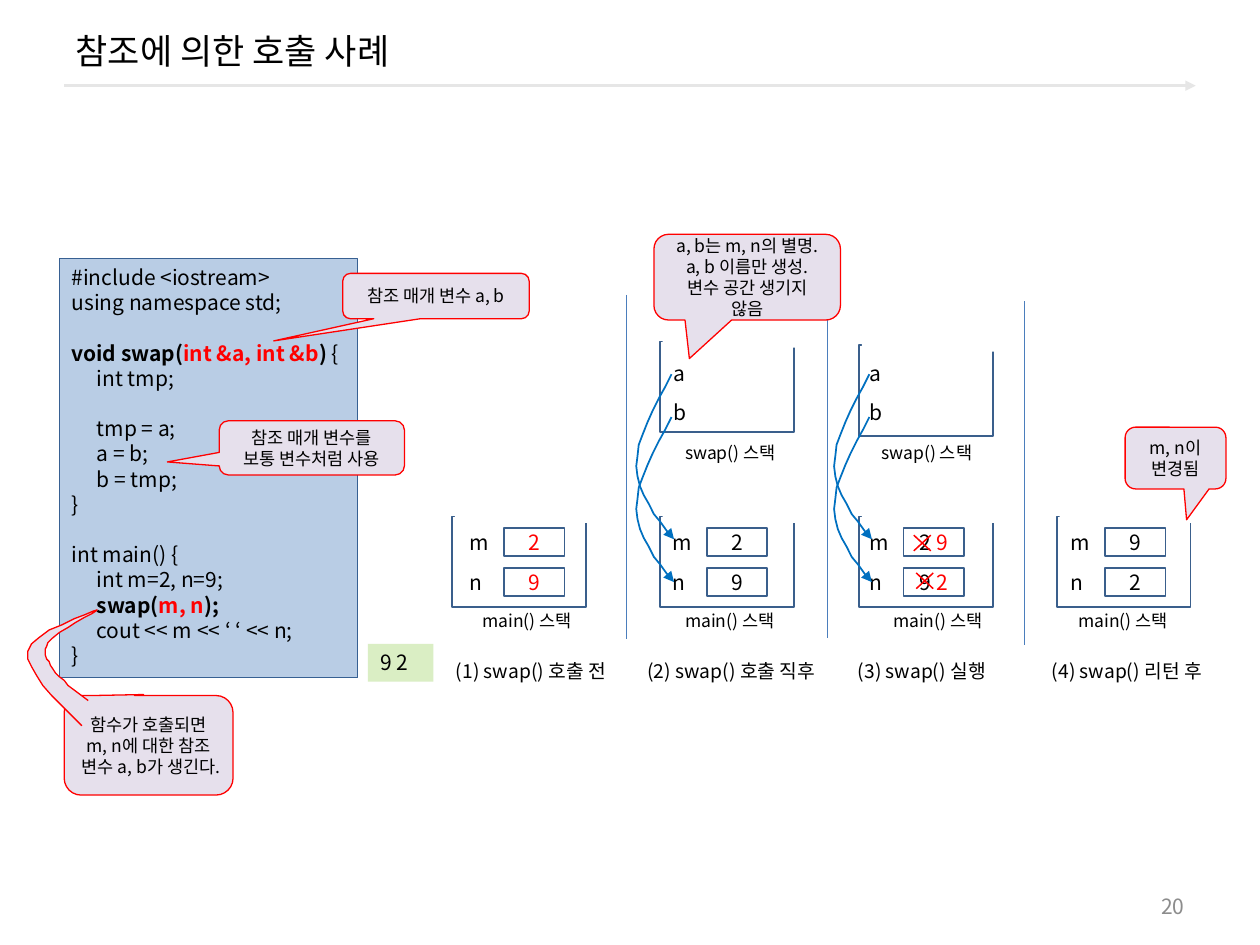
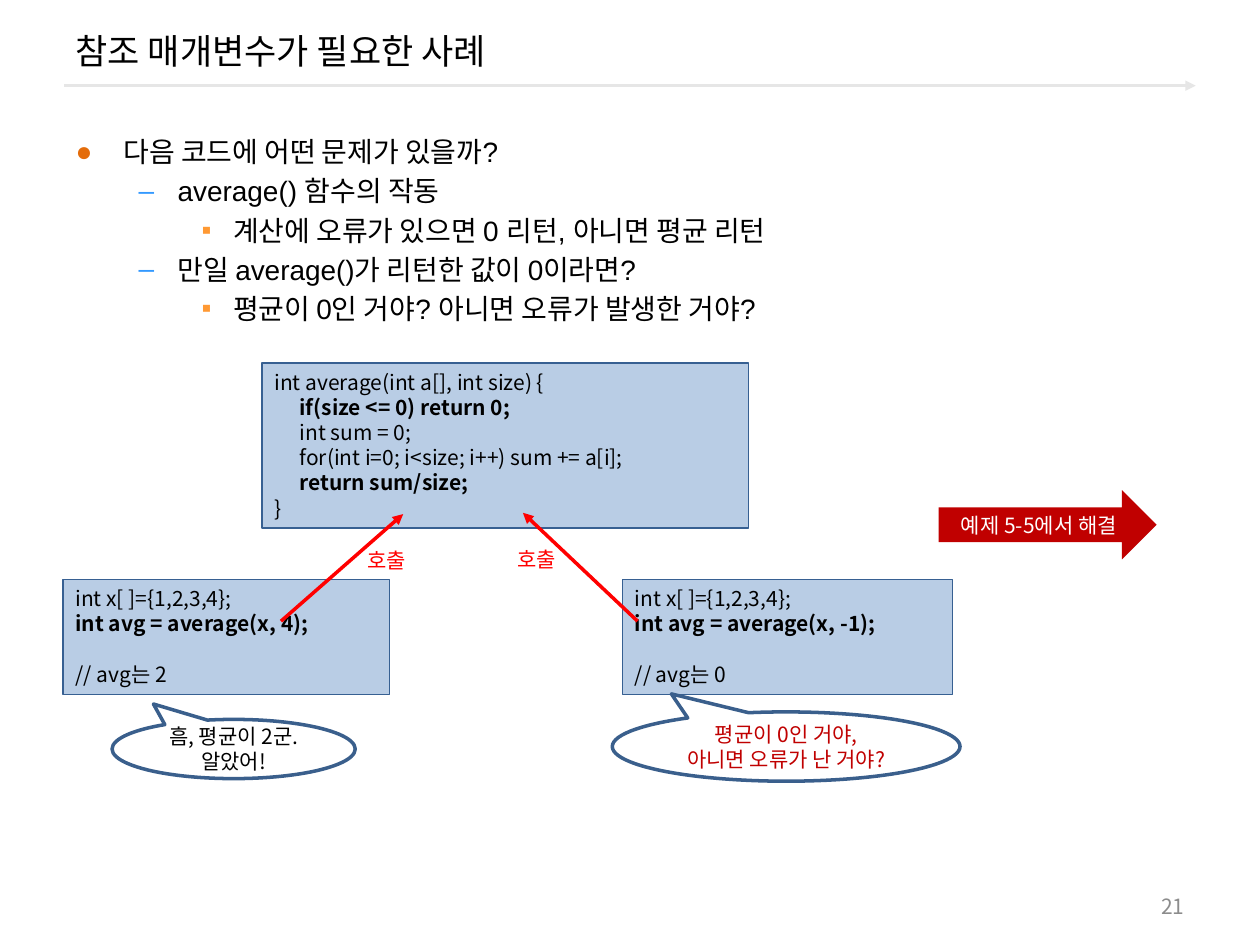
"""Build two slides on C++ call by reference: the swap() stacks and the average() problem."""
from dataclasses import dataclass
from lxml.etree import SubElement
from pptx import Presentation
from pptx.dml.color import RGBColor
from pptx.enum.shapes import MSO_CONNECTOR, MSO_SHAPE as SHAPE
from pptx.enum.text import MSO_ANCHOR as ANCHOR, MSO_AUTO_SIZE, PP_ALIGN as ALIGN
from pptx.oxml.ns import qn
from pptx.util import Pt

PX = 9144


@dataclass(frozen=True)
class Theme:
    font: str = "Noto Sans CJK KR"
    body_font: str = "Arial"
    black: str = "000000"
    white: str = "FFFFFF"
    red: str = "FF0000"
    dark_red: str = "C00000"
    gray: str = "8C8C8C"
    rule: str = "E6E6E6"
    code: str = "B9CDE5"
    code_line: str = "376092"
    outline: str = "3A5F8C"
    divider: str = "4B7EBC"
    curve: str = "0070C0"
    callout: str = "E6E0EC"
    output: str = "DAEEC4"
    title: int = 20
    body: int = 16
    text: int = 12
    caption: int = 11
    small: int = 10
    leading: float = 1.2


T = Theme()
TITLE_BOX, NUMBER_BOX, BODY_BOX = (50, 8, 900, 64), (717, 703, 233, 32), (50, 102, 900, 602)
HEADER_RULE = (51, 68, 949, 68)

SWAP_TITLE, SWAP_NUMBER = "참조에 의한 호출 사례", "20"
SWAP_CODE = [
    "#include <iostream>",
    "using namespace std;",
    "",
    [("void swap(", "b"), ("int &a, int &b", "br"), (") ", "b"), ("{", "")],
    "\tint tmp;",
    "",
    "\ttmp = a;",
    "\ta = b;",
    "\tb = tmp;",
    "}",
    "",
    "int main() {",
    "\tint m=2, n=9;",
    [("\t", ""), ("swap(", "b"), ("m, n", "br"), (");", "b")],
    "\tcout << m << ‘ ‘ << n;",
    "}",
]
STAGES = [
    dict(caption="(1) swap() 호출 전", at=352, width=146, stack=359, names=363, label=373,
         values=[[("2", "r")], [("9", "r")]]),
    dict(caption="(2) swap() 호출 직후", at=504, width=161, stack=524, names=524, label=534,
         values=["2", "9"]),
    dict(caption="(3) swap() 실행", at=671, width=125, stack=682, names=680, label=699,
         values=[[("2 ", ""), ("9", "r")], [("9 ", ""), ("2", "r")]]),
    dict(caption="(4) swap() 리턴 후", at=825, width=146, stack=839, names=840, label=846,
         values=["9", "2"]),
]
SWAP_STACKS = [dict(stack=524, top=271, names=525, label=534),
               dict(stack=682, top=274, names=680, label=690)]
MAIN_TOP, MAIN_ROWS, SWAP_ROWS = 410, (415, 447), (281, 312)
STACK_SIZE, LABEL_SIZE, CELL_SIZE = (106, 72), (93, 27), (48, 22)
DIVIDERS = [(497, 234), (657, 233), (813, 239)]
CROSSES = [(719, 419), (721, 449)]
CURVE_X, CURVE_Y = (533, 690), (297, 331)
ALIAS_CURVE = [(0, 0), (-14, 26), (-28, 52), (-28, 73), (-27, 95), (-13, 113), (2, 131)]
TAIL_CURVE = [(65, 576), (43, 554), (20, 532), (22, 517), (24, 502), (74, 486), (77, 484),
              (79, 483), (44, 502), (38, 510), (33, 517), (37, 523), (42, 531),
              (48, 539), (59, 548), (70, 556)]
CALLOUTS = [
    ((519, 186, 148, 68), (-0.31, 0.95),
     ["a, b는 m, n의 별명.", "a, b 이름만 생성.", "변수 공간 생기지 않음"]),
    ((893, 339, 80, 49), (0.11, 1), ["m, n이 변경됨"]),
    ((272, 217, 148, 36), (-0.87, 0.99), ["참조 매개 변수 a, b"]),
    ((174, 334, 147, 43), (-0.78, 0.26), ["참조 매개 변수를 보통 변수처럼 사용"]),
    ((51, 552, 134, 79), (-0.03, -0.51), ["함수가 호출되면 m, n에 대한 참조 변수 a, b가 생긴다."]),
]

AVERAGE_TITLE, AVERAGE_NUMBER = "참조 매개변수가 필요한 사례", "21"
BULLETS = [
    (0, "다음 코드에 어떤 문제가 있을까?"),
    (1, "average() 함수의 작동"),
    (2, "계산에 오류가 있으면 0 리턴, 아니면 평균 리턴"),
    (1, "만일 average()가 리턴한 값이 0이라면?"),
    (2, "평균이 0인 거야? 아니면 오류가 발생한 거야?"),
]
BULLET_STYLES = [("●", "E46C0A", 38, -38), ("–", "3399FF", 81, -31), ("▪", "FF9933", 125, -25)]
AVERAGE_CODE = [
    ((208, 288, 386, 131), [
        "int average(int a[], int size) {",
        [("\t", ""), ("if(size <= 0) return 0;", "b")],
        "\tint sum = 0;",
        "\tfor(int i=0; i<size; i++) sum += a[i];",
        [("\t", ""), ("return sum/size;", "b")],
        "}"]),
    ((494, 460, 262, 91), ["int x[ ]={1,2,3,4};", [("int avg = average(x, -1);", "b")],
                           "", "// avg는 0"]),
    ((50, 460, 259, 91), ["int x[ ]={1,2,3,4};", [("int avg = average(x, 4);", "b")],
                          "", "// avg는 2"]),
]
CALLS = [((223, 493, 320, 408), (282, 430, 54, 30)), ((506, 493, 415, 407), (401, 429, 54, 30))]
THOUGHTS = [
    ((89, 571, 193, 47), ["흠, 평균이 2군. 알았어!"], T.black),
    ((486, 565, 276, 55), ["평균이 0인 거야,", "아니면 오류가 난 거야?"], T.dark_red),
]


def emu(values):
    return [v * PX for v in values]


def rgb(color):
    return RGBColor.from_string(color)


def assign(obj, **values):
    for name, value in values.items():
        setattr(obj, name, value)


def write(sp, lines, size=T.text, color=T.black, font=T.font, align=ALIGN.LEFT,
          anchor=ANCHOR.TOP, gap=0):
    tf = sp.text_frame
    assign(tf, word_wrap=True, auto_size=MSO_AUTO_SIZE.NONE, vertical_anchor=anchor)
    leading, skipped, first = Pt(size * T.leading), 0, True
    for line in lines:
        if not line:
            skipped += 1
            continue
        p = tf.paragraphs[0] if first else tf.add_paragraph()
        before = 0 if first else Pt(gap) + skipped * leading
        assign(p, alignment=align, line_spacing=leading, space_before=before)
        skipped, first = 0, False
        runs = [(line, "")] if isinstance(line, str) else line
        if runs[0][0].startswith("\t"):
            tabs = SubElement(p._p.get_or_add_pPr(), qn("a:tabLst"))
            SubElement(tabs, qn("a:tab"), pos=str(20 * PX), algn="l")
        for text, marks in runs:
            r = p.add_run()
            r.text = text
            assign(r.font, name=font, size=Pt(size), bold="b" in marks)
            SubElement(r._r.get_or_add_rPr(), qn("a:ea"), typeface=T.font)
            r.font.color.rgb = rgb(T.red if "r" in marks else color)


def paint(sp, fill=None, line=None, width=0.75):
    sp.shadow.inherit = False
    if fill:
        sp.fill.solid()
        sp.fill.fore_color.rgb = rgb(fill)
    else:
        sp.fill.background()
    if line:
        sp.line.color.rgb = rgb(line)
        sp.line.width = Pt(width)
    else:
        sp.line.fill.background()


def shape(s, kind, box, fill=None, line=None, width=0.75, adjust=()):
    sp = s.shapes.add_shape(kind, *emu(box))
    for i, value in enumerate(adjust):
        sp.adjustments[i] = value
    paint(sp, fill, line, width)
    return sp


def label(s, box, text, size=T.text, **style):
    write(s.shapes.add_textbox(*emu(box)), [text], size, **style)


def arrowhead(sp):
    SubElement(sp.line._get_or_add_ln(), qn("a:tailEnd"), type="triangle")


def connect(s, ends, color, width, arrow=True):
    c = s.shapes.add_connector(MSO_CONNECTOR.STRAIGHT, *emu(ends))
    c.line.color.rgb = rgb(color)
    c.line.width = Pt(width)
    SubElement(c._element.spPr, qn("a:effectLst"))
    if arrow:
        arrowhead(c)
    return c


def curve(s, knots, steps=8):
    points = [knots[0]]
    for i in range(0, len(knots) - 1, 3):
        for t in (k / steps for k in range(1, steps + 1)):
            weights = ((1 - t) ** 3, 3 * t * (1 - t) ** 2, 3 * t * t * (1 - t), t ** 3)
            points.append(tuple(sum(w * k[axis] for w, k in zip(weights, knots[i:i + 4]))
                                for axis in (0, 1)))
    builder = s.shapes.build_freeform(*points[0], scale=PX)
    builder.add_line_segments(points[1:], close=False)
    return builder.convert_to_shape()


def code(s, box, lines):
    write(shape(s, SHAPE.RECTANGLE, box, T.code, T.code_line), lines)


def stack(s, x, y):
    w, h = STACK_SIZE
    shape(s, SHAPE.RECTANGLE, (x, y, w, h), T.white, T.outline, 1)
    shape(s, SHAPE.RECTANGLE, (x + 2, y - 4, w - 1, 9), T.white)


def names(s, x, rows, letters):
    for y, letter in zip(rows, letters):
        label(s, (x, y, 53, 30), letter)


def new_slide(prs, layout, title, number):
    s = prs.slides.add_slide(prs.slide_layouts[layout])
    sp = s.shapes.title
    assign(sp, **dict(zip(("left", "top", "width", "height"), emu(TITLE_BOX))))
    write(sp, [title], T.title, anchor=ANCHOR.MIDDLE)
    label(s, NUMBER_BOX, number, color=T.gray, align=ALIGN.RIGHT, anchor=ANCHOR.MIDDLE)
    return s


def swap_slide(prs):
    s = new_slide(prs, 5, SWAP_TITLE, SWAP_NUMBER)
    code(s, (47, 205, 237, 333), SWAP_CODE)
    for g in SWAP_STACKS:
        stack(s, g["stack"], g["top"])
        names(s, g["names"], SWAP_ROWS, "ab")
        label(s, (g["label"], 346, *LABEL_SIZE), "swap() 스택", T.small)
    for g in STAGES:
        stack(s, g["stack"], MAIN_TOP)
        names(s, g["names"], MAIN_ROWS, "mn")
        for y, value in zip(MAIN_ROWS, g["values"]):
            cell = shape(s, SHAPE.RECTANGLE, (g["names"] + 37, y + 4, *CELL_SIZE),
                         T.white, T.outline, 1)
            write(cell, [value], align=ALIGN.CENTER, anchor=ANCHOR.MIDDLE)
        label(s, (g["label"], 479, *LABEL_SIZE), "main() 스택", T.small)
        label(s, (g["at"], 518, g["width"], 29), g["caption"], T.caption)
    for x, y in DIVIDERS:
        connect(s, (x, y, x, y + 273), T.divider, 0.75, arrow=False)
    for x, y in CROSSES:
        shape(s, SHAPE.MATH_MULTIPLY, (x, y, 26, 24), T.red, adjust=[0.05])
    for x in CURVE_X:
        for y in CURVE_Y:
            sp = curve(s, [(x + dx, y + dy) for dx, dy in ALIAS_CURVE])
            paint(sp, line=T.curve, width=1)
            arrowhead(sp)
    for box, tip, lines in CALLOUTS:
        sp = shape(s, SHAPE.ROUNDED_RECTANGULAR_CALLOUT, box, T.callout, T.red,
                   adjust=(*tip, 0.17))
        write(sp, lines, T.small, align=ALIGN.CENTER, anchor=ANCHOR.MIDDLE)
    paint(curve(s, TAIL_CURVE), T.callout, T.red)
    write(shape(s, SHAPE.RECTANGLE, (292, 511, 52, 30), T.output), ["9 2"])
    return s


def average_slide(prs):
    s = new_slide(prs, 1, AVERAGE_TITLE, AVERAGE_NUMBER)
    body = s.placeholders[1]
    assign(body, **dict(zip(("left", "top", "width", "height"), emu(BODY_BOX))))
    write(body, [text for _, text in BULLETS], T.body, font=T.body_font, gap=3.2)
    for p, (level, _) in zip(body.text_frame.paragraphs, BULLETS):
        char, color, margin, indent = BULLET_STYLES[level]
        p.level = level
        pPr = p._p.get_or_add_pPr()
        pPr.set("marL", str(margin * PX))
        pPr.set("indent", str(indent * PX))
        SubElement(SubElement(pPr, qn("a:buClr")), qn("a:srgbClr"), val=color)
        SubElement(pPr, qn("a:buChar"), char=char)
    for box, lines in AVERAGE_CODE:
        code(s, box, lines)
    for ends, box in CALLS:
        connect(s, ends, T.red, 2)
        label(s, box, "호출", color=T.red)
    centred = dict(align=ALIGN.CENTER, anchor=ANCHOR.MIDDLE)
    for box, lines, color in THOUGHTS:
        sp = shape(s, SHAPE.OVAL_CALLOUT, box, line=T.outline, width=2, adjust=(-0.33, -0.76))
        write(sp, lines, color=color, **centred)
    sp = shape(s, SHAPE.RIGHT_ARROW, (745, 389, 173, 55), T.dark_red)
    write(sp, ["예제 5-5에서 해결"], color=T.white, **centred)


def main():
    prs = Presentation()
    assign(prs, slide_width=1000 * PX, slide_height=750 * PX)
    s = swap_slide(prs)
    average_slide(prs)
    rule = connect(s, HEADER_RULE, T.rule, 1.5)
    prs.slide_master.shapes.element.append(rule.element)
    prs.save("out.pptx")


if __name__ == "__main__":
    main()
